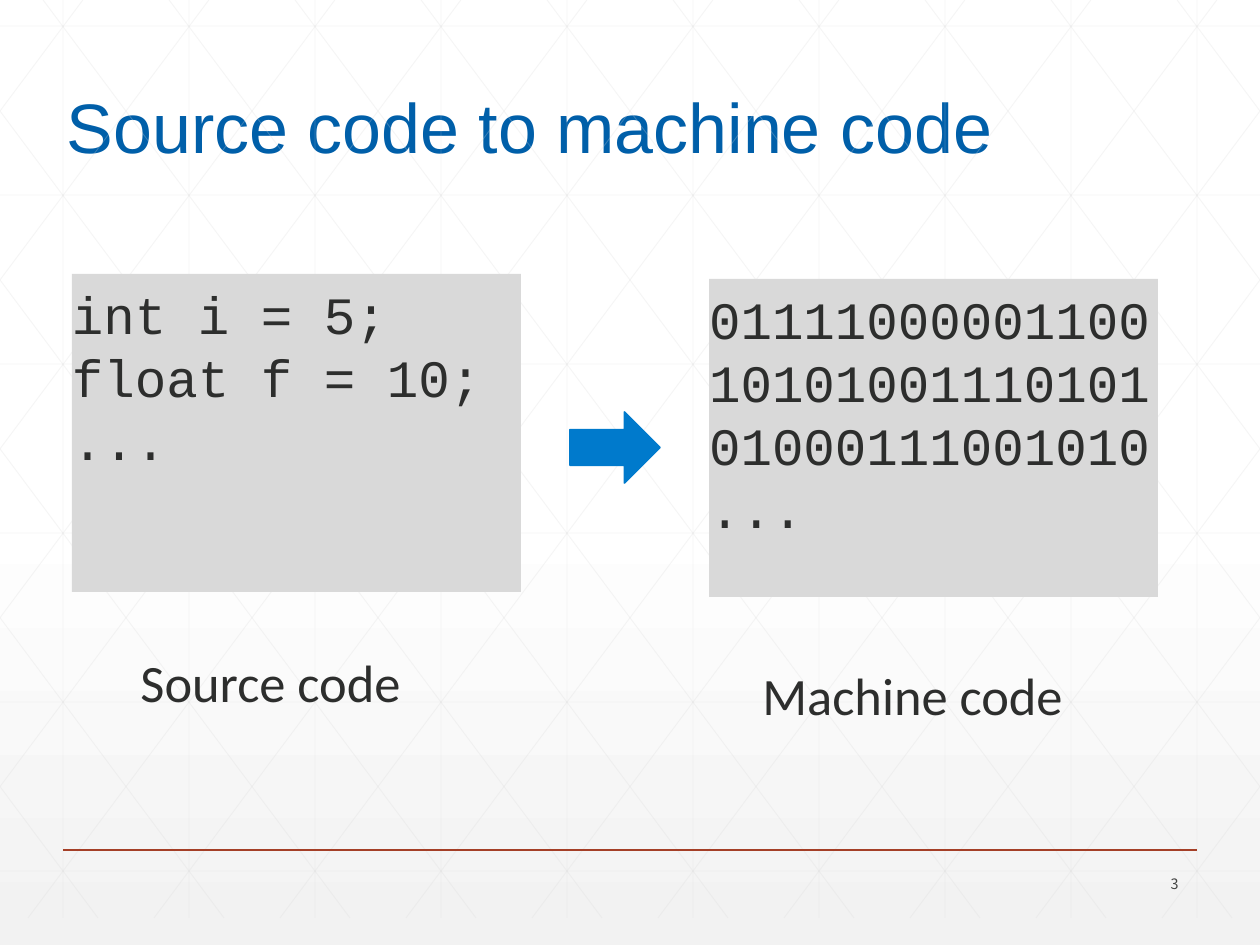
from dataclasses import dataclass

from lxml import etree
from pptx import Presentation
from pptx.dml.color import RGBColor
from pptx.enum.shapes import MSO_CONNECTOR, MSO_SHAPE
from pptx.enum.text import MSO_ANCHOR, PP_ALIGN
from pptx.oxml.ns import qn
from pptx.util import Pt

LINE = MSO_CONNECTOR.STRAIGHT
RECT = MSO_SHAPE.RECTANGLE
ARROW = MSO_SHAPE.RIGHT_ARROW
TOP, MIDDLE = MSO_ANCHOR.TOP, MSO_ANCHOR.MIDDLE
LEFT, RIGHT = PP_ALIGN.LEFT, PP_ALIGN.RIGHT
SCALE = 914400 / 126
WIDE, HIGH = 1260, 945
TITLE_ONLY = 5


@dataclass(frozen=True)
class Style:
    face: str
    size: float
    color: str


@dataclass(frozen=True)
class Theme:
    title: Style = Style("Arial", 40, "005FA9")
    code: Style = Style("Courier New", 30, "2D2E2D")
    label: Style = Style("Calibri", 30, "2D2E2D")
    number: Style = Style("Noto Sans CJK TC", 8.2, "424342")
    panel: str = "D9D9D9"
    grid: str = "D9D9D9"
    arrow: str = "007ACC"
    rule: str = "A43F27"
    light: str = "FFFFFF"
    shade: str = "F2F2F2"


THEME = Theme()


def px(*sizes):
    return [round(size * SCALE) for size in sizes]


def rgb(code):
    return RGBColor.from_string(code)


def add_text(para, text, style):
    run = para.add_run()
    run.text = text
    run.font.name = style.face
    run.font.size = Pt(style.size)
    run.font.color.rgb = rgb(style.color)


def add_line(shapes, ends, color, width, alpha=None):
    line = shapes.add_connector(LINE, *px(*ends))
    line.line.color.rgb = rgb(color)
    line.line.width = Pt(width)
    props = line._element.spPr
    if alpha is not None:
        tint = next(props.iter(qn("a:srgbClr")))
        etree.SubElement(tint, qn("a:alpha")).set("val", str(alpha * 1000))
    etree.SubElement(props, qn("a:effectLst"))


def add_back(slide):
    fill = slide.background.fill
    fill.gradient()
    fill.gradient_angle = 270
    tones = ((0.53, THEME.light), (1, THEME.shade))
    for stop, (place, color) in zip(fill.gradient_stops, tones):
        stop.position = place
        stop.color.rgb = rgb(color)


def add_grid(slide):
    step, rise, head, foot = 126, 169, -27, 918
    slope = (foot - head) / 705
    lines = [(x, 0, x, foot) for x in range(63, WIDE, step)]
    lines += [(0, y, WIDE, y) for y in range(26, foot, rise)]
    for index in range(-5, 10):
        start = 23 + step * index
        top = max(0, head - start * slope)
        low = min(foot, head + (WIDE - start) * slope)
        left, right = [start + (y - head) / slope for y in (top, low)]
        lines.append((left, top, right, low))
        lines.append((WIDE - left, top, WIDE - right, low))
    group = slide.shapes.add_group_shape()
    for ends in lines:
        add_line(group.shapes, ends, THEME.grid, 0.5, 25)


def add_title(slide, text):
    title = slide.shapes.title
    title.left, title.top, title.width, title.height = px(54, 77, 961, 97)
    frame = title.text_frame
    frame.word_wrap = False
    frame.vertical_anchor = TOP
    para = frame.paragraphs[0]
    para.alignment = LEFT
    add_text(para, text, THEME.title)


def add_shape(slide, kind, box, color):
    shape = slide.shapes.add_shape(kind, *px(*box))
    shape.shadow.inherit = False
    shape.fill.solid()
    shape.fill.fore_color.rgb = rgb(color)
    shape.line.fill.background()
    return shape


def add_code(slide, box, rows):
    frame = add_shape(slide, RECT, box, THEME.panel).text_frame
    frame.word_wrap = True
    frame.vertical_anchor = TOP
    frame.margin_left = frame.margin_right = frame.margin_bottom = 0
    frame.margin_top = px(8)[0]
    for index, row in enumerate(rows):
        para = frame.add_paragraph() if index else frame.paragraphs[0]
        para.alignment = LEFT
        para.line_spacing = Pt(36)
        add_text(para, row, THEME.code)


def add_arrow(slide, box):
    shape = add_shape(slide, ARROW, box, THEME.arrow)
    shape.line.color.rgb = rgb(THEME.arrow)
    shape.line.width = Pt(1)


def add_note(slide, box, text, style, align=LEFT, anchor=TOP):
    frame = slide.shapes.add_textbox(*px(*box)).text_frame
    frame.word_wrap = True
    frame.vertical_anchor = anchor
    para = frame.paragraphs[0]
    para.alignment = align
    add_text(para, text, style)
    return para


def add_label(slide, box, text):
    para = add_note(slide, box, text, THEME.label)
    para.line_spacing = 0.9
    para._p.get_or_add_pPr().set("marL", str(px(5)[0]))


def main():
    deck = Presentation()
    deck.slide_width, deck.slide_height = px(WIDE, HIGH)
    slide = deck.slides.add_slide(deck.slide_layouts[TITLE_ONLY])
    add_back(slide)
    add_grid(slide)
    add_line(slide.shapes, (63, 850, 1197, 850), THEME.rule, 1)
    add_note(slide, (1096, 869, 95, 30), "3", THEME.number, RIGHT, MIDDLE)
    add_title(slide, "Source code to machine code")
    add_code(slide, (72, 274, 449, 318),
             ("int i = 5;", "float f = 10;", "..."))
    add_arrow(slide, (570, 412, 90, 71))
    add_code(slide, (709, 279, 449, 318),
             ("011110000011001010100111010101000111001010", "..."))
    add_label(slide, (123, 651, 307, 84), "Source code")
    add_label(slide, (745, 664, 378, 84), "Machine code")
    deck.save("out.pptx")


if __name__ == "__main__":
    main()
